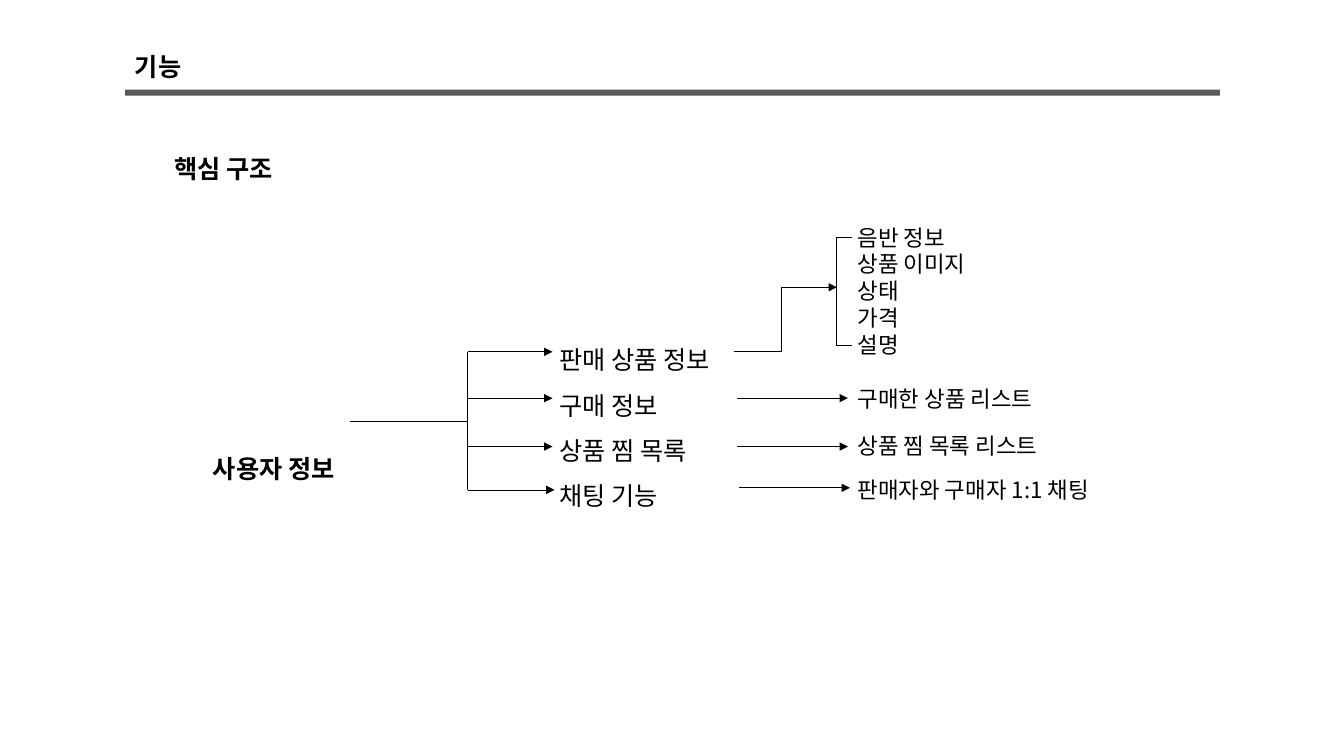
import pptx
import pptx.util
import pptx.dml.color
import pptx.enum.shapes
import pptx.enum.text
import pptx.oxml.ns
import lxml.etree

PX = 9144
FACE = "Noto Sans CJK KR"
qn = pptx.oxml.ns.qn
color = pptx.dml.color.RGBColor.from_string

deck = pptx.Presentation()
deck.slide_width = 1333 * PX
deck.slide_height = 750 * PX
slide = deck.slides.add_slide(deck.slide_layouts[6])


def write(left, top, wide, high, rows, size=16, bold=False, lead=1.2, align="LEFT"):
    box = slide.shapes.add_textbox(left * PX, top * PX, wide * PX, high * PX)
    frame = box.text_frame
    frame.word_wrap = False
    frame.auto_size = pptx.enum.text.MSO_AUTO_SIZE.SHAPE_TO_FIT_TEXT
    form = {"size": pptx.util.Pt(size), "bold": bold, "name": FACE}
    for num, row in enumerate(rows):
        para = frame.add_paragraph() if num else frame.paragraphs[0]
        para.alignment = getattr(pptx.enum.text.PP_ALIGN, align)
        para.line_spacing = pptx.util.Pt(size * lead)
        run = para.add_run()
        run.text = row
        for key, value in form.items():
            setattr(run.font, key, value)
        run.font.color.rgb = color("000000")
        props = run.font._element
        east = lxml.etree.SubElement(props, qn("a:ea"))
        east.set("typeface", FACE)


def link(x1, y1, x2, y2, arrow=False):
    kind = pptx.enum.shapes.MSO_CONNECTOR.STRAIGHT
    wire = slide.shapes.add_connector(kind, x1 * PX, y1 * PX, x2 * PX, y2 * PX)
    wire.line.width = pptx.util.Pt(0.5)
    wire.line.color.rgb = color("000000")
    if arrow:
        tail = lxml.etree.SubElement(wire.line._get_or_add_ln(), qn("a:tailEnd"))
        tail.set("type", "triangle")
    lxml.etree.SubElement(wire._element.spPr, qn("a:effectLst"))


rule = slide.shapes.add_shape(
    pptx.enum.shapes.MSO_SHAPE.RECTANGLE, 124 * PX, 89 * PX, 1086 * PX, 6 * PX
)
rule.shadow.inherit = False
rule.fill.solid()
rule.fill.fore_color.rgb = color("595959")
rule.line.fill.background()

write(124, 46, 71, 40, ["기능"], 18, True)
write(163, 147, 130, 40, ["핵심 구조"], 18, True)
write(194, 445, 155, 40, ["사용자 정보"], 18, True, align="CENTER")

menu = ["판매 상품 정보", "구매 정보", "상품 찜 목록", "채팅 기능"]
write(545, 322, 190, 186, menu, 18, lead=1.8)

parts = ["음반 정보", "상품 이미지", "상태", "가격", "설명"]
write(841, 217, 140, 145, parts)

notes = [
    (377, 215, "구매한 상품 리스트"),
    (424, 223, "상품 찜 목록 리스트"),
    (467, 276, "판매자와 구매자 1:1 채팅"),
]
for top, wide, text in notes:
    write(841, top, wide, 37, [text])

link(347, 418, 464, 418)
link(464, 349, 464, 486)
for y, tip in [(349, 548), (395, 548), (443, 548), (486, 550)]:
    link(464, y, tip, y, True)

for x, y in [(731, 395), (731, 443), (733, 484)]:
    link(x, y, x + 110, y, True)

link(728, 349, 775, 349)
link(775, 349, 775, 285)
link(775, 285, 830, 285, True)
link(830, 235, 830, 343)
for y in (235, 343):
    link(845, y, 830, y)

deck.save("out.pptx")
